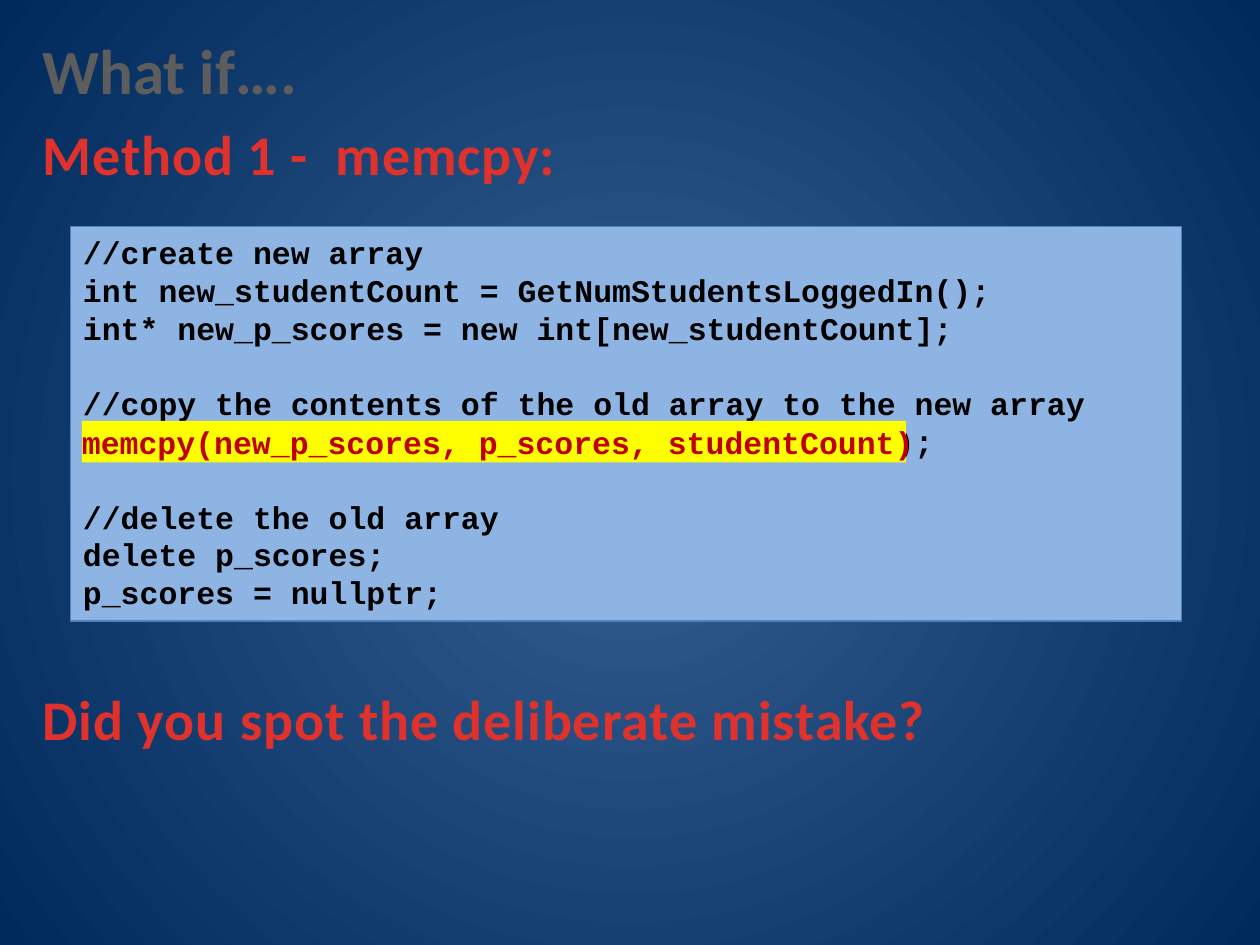
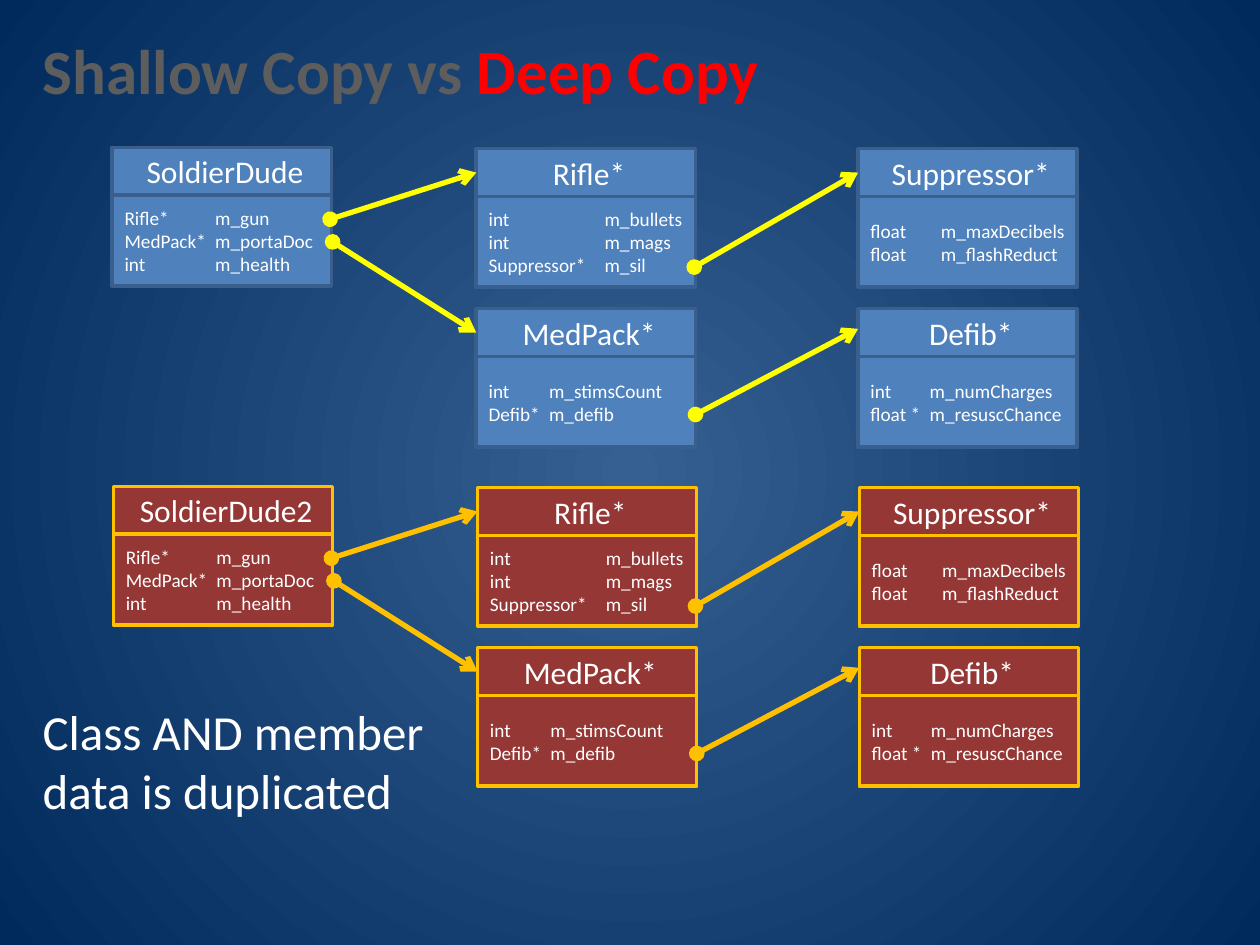
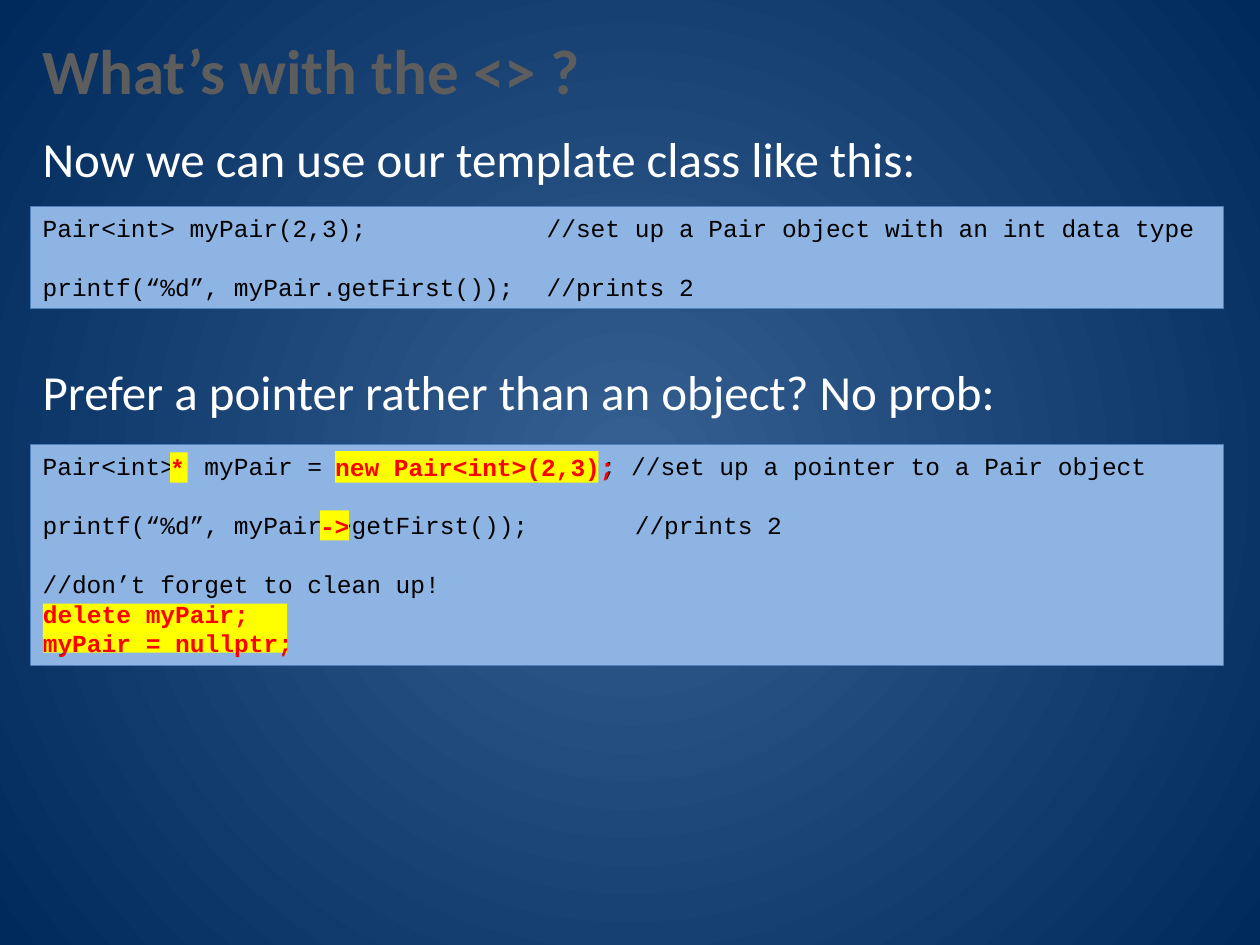
import dataclasses

import pptx
import pptx.dml.color
import pptx.enum.shapes
import pptx.enum.text
import pptx.oxml
import pptx.oxml.ns
import pptx.util

PP = pptx.enum.text
RECT = pptx.enum.shapes.MSO_SHAPE.RECTANGLE
LINE = pptx.enum.shapes.MSO_CONNECTOR.STRAIGHT


# Theme: colours, fonts and type sizes
@dataclasses.dataclass(frozen=True)
class Theme:
    sans: str = "Calibri"
    mono: str = "Courier New"
    white: str = "FFFFFF"
    black: str = "000000"
    red: str = "FF0000"
    dark: str = "C00000"
    mark: str = "FFFF00"
    panel: str = "8EB4E3"
    edge: str = "4F81BD"
    back: tuple = ((0, "376092"), (100, "00295C"))
    steel: tuple = ((0, "555555"), (49, "5D5D5D"), (50, "000000"),
                    (95, "000000"), (100, "000000"))
    flame: tuple = ((25, "E0322D"), (100, "A2201C"))
    # fill, border and arrow of each family of cards
    first: tuple = ("4F81BD", "3A5F8C", "FFFF00")
    second: tuple = ("953735", "FFC000", "FFC000")
    title: int = 36
    head: int = 32
    body: int = 28
    code: int = 18
    small: int = 14
    field: int = 11
    pitch: float = 1.2


T = Theme()
LEFT, WIDE = 2.4, 94.7


# Units: a grid of 100 columns by 75 rows
def unit(n):
    return pptx.util.Inches(n / 10)


def area(*cells):
    return [unit(n) for n in cells]


def rgb(code):
    return pptx.dml.color.RGBColor.from_string(code)


# XML helpers
def node(body):
    tag, rest = body.split(" ", 1)
    space = pptx.oxml.ns.nsdecls("a")
    return pptx.oxml.parse_xml(f"<a:{tag} {space} {rest}")


def grad(stops, shade):
    marks = "".join(f'<a:gs pos="{pos * 1000}"><a:srgbClr val="{hue}"/></a:gs>'
                    for pos, hue in stops)
    return node(f'gradFill rotWithShape="1"><a:gsLst>{marks}</a:gsLst>{shade}</a:gradFill>')


def swap(root, fill):
    old = root.find(".//" + pptx.oxml.ns.qn("a:solidFill"))
    old.getparent().replace(old, fill)


# Text
def style(run, size, font, color, bold=False, track=0, rim=None):
    face = run.font
    face.size, face.name, face.bold = pptx.util.Pt(size), font, bold
    face.fill.solid()
    props = run._r.get_or_add_rPr()
    if isinstance(color, str):
        face.fill.fore_color.rgb = rgb(color)
    else:
        swap(props, grad(color, '<a:lin ang="5400000" scaled="0"/>'))
    if track:
        props.set("spc", str(int(track * 100)))
    if rim:
        props.insert(0, node(f'ln w="17780"><a:solidFill><a:srgbClr val="{rim}"/>'
                             '</a:solidFill></a:ln>'))


def write(shape, lines, align="LEFT", anchor="TOP", wrap=True, grow=False,
          pad=None, tab=None, size=T.body, font=T.sans, color=T.white, **look):
    """Fill a shape; an empty line becomes space before the next one."""
    frame = shape.text_frame
    frame.word_wrap = wrap
    frame.vertical_anchor = getattr(PP.MSO_ANCHOR, anchor)
    fit = PP.MSO_AUTO_SIZE
    frame.auto_size = fit.SHAPE_TO_FIT_TEXT if grow else fit.NONE
    if pad is not None:
        (frame.margin_left, frame.margin_top,
         frame.margin_right, frame.margin_bottom) = area(*pad)
    para, gap = None, 0
    for line in lines:
        if not line:
            gap += T.pitch * size
            continue
        para = frame.add_paragraph() if para else frame.paragraphs[0]
        para.alignment = getattr(PP.PP_ALIGN, align)
        if gap:
            para.space_before = pptx.util.Pt(gap)
            gap = 0
        if tab:
            stops = f'tabLst ><a:tab pos="{unit(tab)}" algn="l"/></a:tabLst>'
            para._p.get_or_add_pPr().append(node(stops))
        parts = [(line, {})] if isinstance(line, str) else line
        for words, extra in parts:
            run = para.add_run()
            run.text = words
            style(run, **{"size": size, "font": font, "color": color, **look, **extra})


# Elements
def label(page, box, lines, **look):
    write(page.shapes.add_textbox(*area(*box)), lines, grow=True, **look)


def block(page, box, lines, fill, line=None, width=0.75, **look):
    shape = page.shapes.add_shape(RECT, *area(*box))
    shape.shadow.inherit = False
    shape.fill.solid()
    shape.fill.fore_color.rgb = rgb(fill)
    if line:
        shape.line.color.rgb = rgb(line)
        shape.line.width = pptx.util.Pt(width)
    else:
        shape.line.fill.background()
    write(shape, lines, **look)


def code(page, box, lines, **look):
    block(page, box, lines, T.panel, T.edge, grow=True, font=T.mono,
          color=T.black, **look)


def mark(page, box, lines, size=T.small, color=T.red):
    block(page, box, lines, T.mark, anchor="MIDDLE", wrap=False,
          pad=(0, 0, 0, 0), size=size, font=T.mono, color=color, bold=True)


def card(page, x, y, name, tab, rows, hues):
    fill, line, _ = hues
    look = dict(fill=fill, line=line, width=2, anchor="MIDDLE")
    block(page, (x, y, 17.4, 3.8), [name], align="CENTER", size=T.code,
          pad=(1.5, 0.5, 1, 0.5), **look)
    block(page, (x, y + 3.8, 17.4, 7.2), rows, size=T.field, tab=tab,
          pad=(1, 0.5, 0.2, 0.5), **look)


def arrow(page, ends, hue):
    link = page.shapes.add_connector(LINE, *area(*ends))
    link.line.color.rgb = rgb(hue)
    link.line.width = pptx.util.Pt(3)
    stroke = link.line._get_or_add_ln()
    stroke.append(node('headEnd type="oval"/>'))
    stroke.append(node('tailEnd type="arrow"/>'))
    link.element.spPr.append(node("effectLst />"))


def start(deck, width, title):
    """Add a slide with the shared background and title style."""
    page = deck.slides.add_slide(deck.slide_layouts[6])
    page.background.fill.solid()
    swap(page.element, grad(T.back, '<a:path path="circle"><a:fillToRect l="50000" '
                            't="50000" r="50000" b="50000"/></a:path>'))
    label(page, (LEFT, 2, width, 7.1), [title], wrap=False, size=T.title,
          color=T.steel, bold=True, rim=T.white)
    return page


# Slides
def memory(deck):
    page = start(deck, 22.4, "What if….")
    for y, words in ((9, "Method 1 -  memcpy:"),
                     (53.8, "Did you spot the deliberate mistake?")):
        label(page, (LEFT, y, WIDE, 6.4), [words], size=T.head, color=T.flame,
              bold=True, track=0.5)
    call = "memcpy(new_p_scores, p_scores, studentCount)"
    code(page, (5.6, 18, 88.2, 31.3), [
        "//create new array",
        "int new_studentCount = GetNumStudentsLoggedIn();",
        "int* new_p_scores = new int[new_studentCount];",
        "",
        "//copy the contents of the old array to the new array",
        call + ";",
        "",
        "//delete the old array",
        "delete p_scores;",
        "p_scores = nullptr;",
    ], size=T.code, bold=True)
    mark(page, (6.5, 33.4, 65.4, 3.3), [call], size=T.code, color=T.dark)


# Cards: column, row, name, tab stop, fields
CARDS = (
    (8.9, -0.1, "SoldierDude", 7.2,
     ["Rifle*\tm_gun", "MedPack*\tm_portaDoc", "int\tm_health"]),
    (37.8, 0, "Rifle*", 9.2,
     ["int\tm_bullets", "int\tm_mags", "Suppressor*\tm_sil"]),
    (37.8, 12.7, "MedPack*", 4.8, ["int\tm_stimsCount", "Defib*\tm_defib"]),
    (68.1, 0, "Suppressor*", 5.6,
     ["float\tm_maxDecibels", "float\tm_flashReduct"]),
    (68.1, 12.7, "Defib*", 4.7, ["int\tm_numCharges", "float *\tm_resuscChance"]),
)
LINKS = ((26.4, 7.4, 37.8, 14.6), (26.2, 5.6, 37.8, 1.9),
         (55.1, 9.4, 68.1, 1.9), (55.2, 21.1, 68.1, 14.3))


def copies(deck):
    page = start(deck, 59.4, [("Shallow Copy vs ", {}), ("Deep Copy", {"color": T.red})])
    for dx, top, tail, hues in ((0, 11.8, "", T.first), (0.1, 38.7, "2", T.second)):
        for x, y, name, tab, rows in CARDS:
            full = name if name.endswith("*") else name + tail
            card(page, x + dx, top + y, full, tab, rows, hues)
        for x1, y1, x2, y2 in LINKS:
            arrow(page, (x1 + dx, top + y1, x2 + dx, top + y2), hues[2])
    label(page, (LEFT, 55.2, 34, 10.4), ["Class AND member data is duplicated"])


def pairs(deck):
    page = start(deck, 45.1, "What’s with the <> ?")
    for y, words in ((9.7, "Now we can use our template class like this:"),
                     (28.2, "Prefer a pointer rather than an object? No prob:")):
        label(page, (LEFT, y, WIDE, 5.7), [words])
    code(page, (LEFT, 16.4, WIDE, 8.1), [
        "Pair<int> myPair(2,3);\t//set up a Pair object with an int data type",
        "",
        "printf(“%d”, myPair.getFirst());\t//prints 2",
    ], size=T.small, tab=40)
    clean = ["delete myPair;", "myPair = nullptr;"]
    code(page, (LEFT, 35.3, WIDE, 17.5), [
        "Pair<int>* myPair = new Pair<int>(2,3); //set up a pointer to a Pair object",
        "",
        "printf(“%d”, myPair->getFirst());\t//prints 2",
        "",
        "//don’t forget to clean up!",
        *clean,
    ], size=T.small, tab=47)
    for box, lines in (((13.5, 35.9, 1.4, 2.4), ["*"]),
                       ((26.6, 35.8, 20.9, 2.5), ["new Pair<int>(2,3);"]),
                       ((25.4, 40.5, 2.3, 2.4), ["->"]),
                       ((3.4, 47.9, 19.4, 3.9), clean)):
        mark(page, box, lines)


def main():
    deck = pptx.Presentation()
    deck.slide_width, deck.slide_height = area(100, 75)
    memory(deck)
    copies(deck)
    pairs(deck)
    deck.save("out.pptx")


if __name__ == "__main__":
    main()
